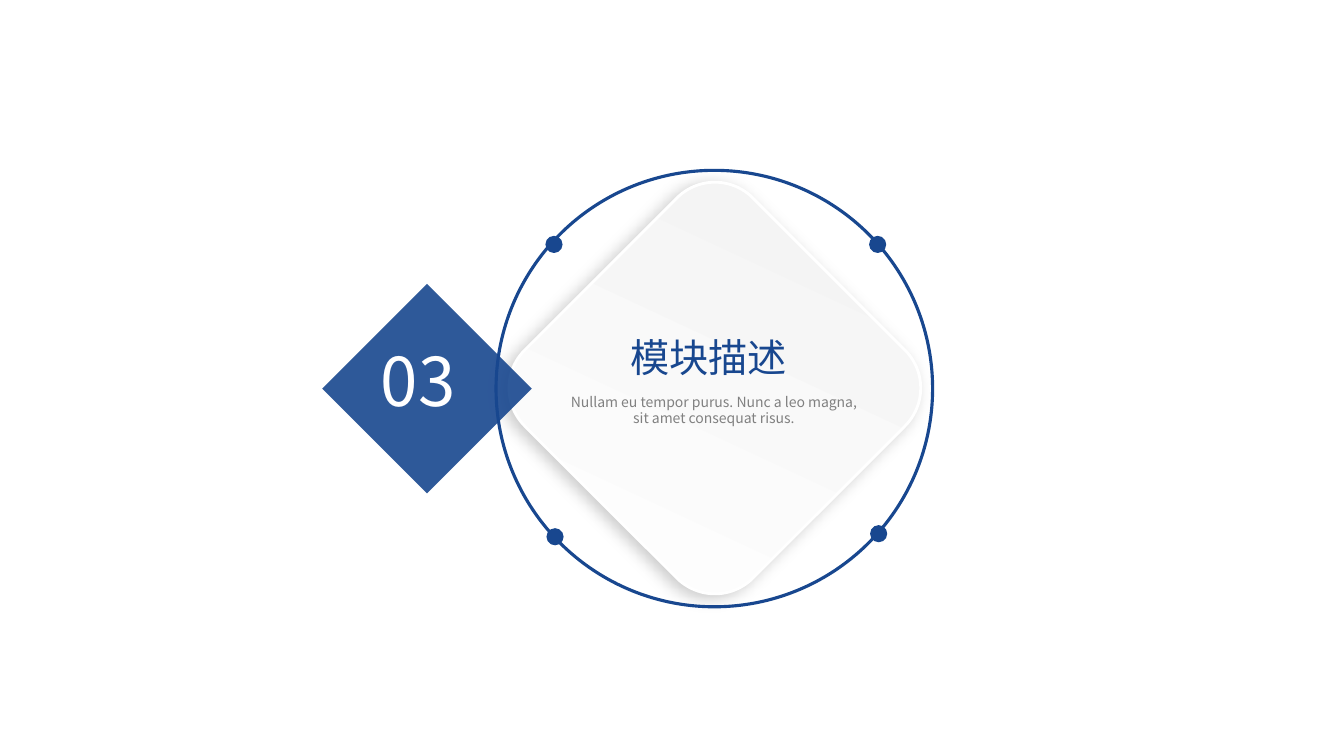
from dataclasses import dataclass

from lxml import etree
from pptx import Presentation
from pptx.dml.color import RGBColor
from pptx.enum.shapes import MSO_SHAPE
from pptx.enum.text import MSO_ANCHOR, PP_ALIGN
from pptx.oxml.ns import qn
from pptx.util import Inches, Pt

ROUND_RECT = MSO_SHAPE.ROUNDED_RECTANGLE
RECT = MSO_SHAPE.RECTANGLE
OVAL = MSO_SHAPE.OVAL
CENTER = PP_ALIGN.CENTER
LEFT = PP_ALIGN.LEFT
TOP = MSO_ANCHOR.TOP


@dataclass(frozen=True)
class Theme:
    font: str = "Noto Sans CJK SC"
    blue: RGBColor = RGBColor(0x18, 0x47, 0x8F)
    white: RGBColor = RGBColor(0xFF, 0xFF, 0xFF)
    pale: RGBColor = RGBColor(0xF2, 0xF2, 0xF2)
    grey: RGBColor = RGBColor(0x80, 0x80, 0x80)
    number_size: int = 48
    title_size: int = 28
    body_size: int = 10


class SectionSlide:
    def __init__(self, slide, theme):
        self.slide = slide
        self.theme = theme

    def add_preset(self, preset, left, top, size, rotation=0):
        """Add a square, unshadowed preset shape without an outline."""
        shape = self.slide.shapes.add_shape(
            preset, Inches(left), Inches(top), Inches(size), Inches(size))
        shape.rotation = rotation
        shape.shadow.inherit = False
        shape.line.fill.background()
        return shape

    def add_panel(self, left, top, size):
        """Add the raised, rounded diamond with its gradient and soft shadow."""
        panel = self.add_preset(ROUND_RECT, left, top, size, 45)
        panel.fill.gradient()
        panel.fill.gradient_angle = 110
        for stop, color in zip(panel.fill.gradient_stops,
                               (self.theme.white, self.theme.pale)):
            stop.color.rgb = color
        panel.line.color.rgb = self.theme.white
        panel.line.width = Pt(2)
        effects = panel._element.spPr.find(qn("a:effectLst"))
        shadow = etree.SubElement(
            effects, qn("a:outerShdw"), blurRad=str(Pt(11)), dist=str(Pt(5)),
            dir=str(160 * 60000), algn="ctr", rotWithShape="0")
        color = etree.SubElement(shadow, qn("a:srgbClr"), val="000000")
        etree.SubElement(color, qn("a:alpha"), val="20000")

    def add_ring(self, left, top, size):
        ring = self.add_preset(OVAL, left, top, size)
        ring.fill.background()
        ring.line.color.rgb = self.theme.blue
        ring.line.width = Pt(2.25)

    def add_solid(self, preset, left, top, size, rotation=0, opacity=100):
        shape = self.add_preset(preset, left, top, size, rotation)
        shape.fill.solid()
        shape.fill.fore_color.rgb = self.theme.blue
        if opacity < 100:
            color = shape._element.spPr.find(
                f"{qn('a:solidFill')}/{qn('a:srgbClr')}")
            etree.SubElement(color, qn("a:alpha"), val=str(opacity * 1000))

    def add_text(self, text, box, size, color, align=CENTER, wrap=True):
        frame = self.slide.shapes.add_textbox(*map(Inches, box)).text_frame
        frame.word_wrap = wrap
        frame.vertical_anchor = TOP
        paragraph = frame.paragraphs[0]
        paragraph.text = text
        paragraph.alignment = align
        paragraph.font.name = self.theme.font
        paragraph.font.size = Pt(size)
        paragraph.font.color.rgb = color
        # East Asian glyphs take their typeface from a separate element
        for run in paragraph.runs:
            etree.SubElement(run._r.get_or_add_rPr(), qn("a:ea"),
                             typeface=self.theme.font)


def main():
    presentation = Presentation()
    presentation.slide_width = Inches(13.33)
    presentation.slide_height = Inches(7.5)
    theme = Theme()
    section = SectionSlide(
        presentation.slides.add_slide(presentation.slide_layouts[6]), theme)

    section.add_panel(5.49, 2.25, 3.2)
    section.add_ring(4.92, 1.69, 4.33)
    for left, top in ((5.41, 2.34), (8.63, 5.21), (5.42, 5.24), (8.62, 2.34)):
        section.add_solid(OVAL, left, top, 0.17)

    section.add_text("模块描述", (5.27, 3.26, 3.51, 0.57),
                     theme.title_size, theme.blue)
    section.add_text(
        "Nullam eu tempor purus. Nunc a leo magna, sit amet consequat risus.",
        (5.53, 3.85, 3.1, 0.44), theme.body_size, theme.grey)

    section.add_solid(RECT, 3.5, 3.12, 1.47, rotation=225, opacity=90)
    section.add_text("03", (3.68, 3.32, 0.99, 0.91), theme.number_size,
                     theme.white, align=LEFT, wrap=False)

    presentation.save("out.pptx")


if __name__ == "__main__":
    main()
